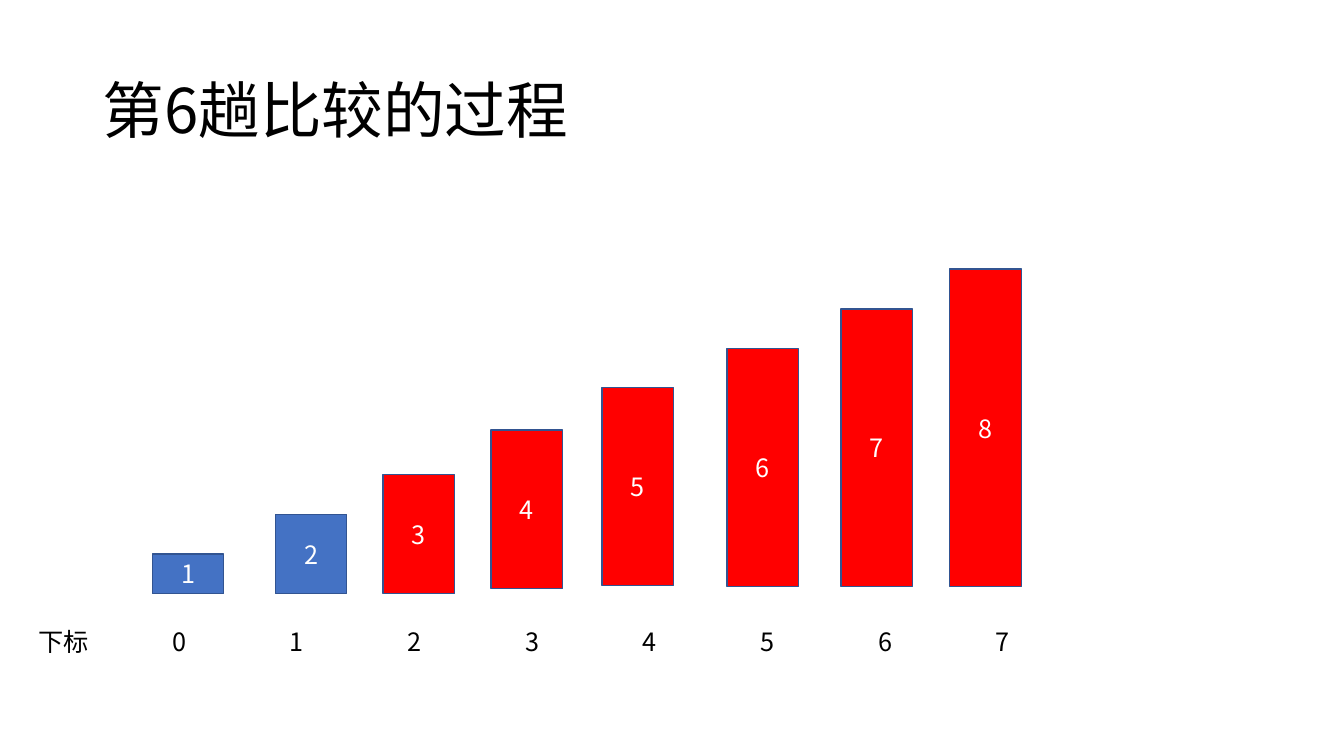
import pptx
import pptx.dml.color
import pptx.enum.shapes
import pptx.enum.text
import pptx.oxml
import pptx.util

Inches = pptx.util.Inches
ANCHOR = pptx.enum.text.MSO_ANCHOR
ALIGN = pptx.enum.text.PP_ALIGN

COLORS = {"text": "000000", "value": "FFFFFF", "sorted": "FF0000",
          "unsorted": "4472C4", "outline": "325491"}


class SlideBuilder:
    font_name = "Noto Sans CJK SC"

    def __init__(self, slide):
        self.slide = slide

    def color(self, name):
        return pptx.dml.color.RGBColor.from_string(COLORS[name])

    def fill_text(self, frame, text, size, color, align=ALIGN.LEFT, spacing=1.0, **frame_format):
        for name, value in frame_format.items():
            setattr(frame, name, value)
        paragraph = frame.paragraphs[0]
        paragraph.alignment = align
        paragraph.line_spacing = spacing
        run = paragraph.add_run()
        run.text = text
        run_format = {"size": pptx.util.Pt(size), "name": self.font_name}
        for name, value in run_format.items():
            setattr(run.font, name, value)
        run.font.color.rgb = self.color(color)
        # East Asian characters take their own typeface setting
        east_asian = pptx.oxml.parse_xml(
            '<a:ea xmlns:a="http://schemas.openxmlformats.org/drawingml/2006/main"'
            f' typeface="{self.font_name}"/>')
        run.font._element.append(east_asian)

    def text(self, left, top, width, height, text, size, **text_format):
        box = self.slide.shapes.add_textbox(*map(Inches, (left, top, width, height)))
        self.fill_text(box.text_frame, text, size, "text", **text_format)

    def bar(self, left, top, width, height, text, fill):
        bar = self.slide.shapes.add_shape(
            pptx.enum.shapes.MSO_SHAPE.RECTANGLE, *map(Inches, (left, top, width, height)))
        bar.shadow.inherit = False
        bar.fill.solid()
        bar.fill.fore_color.rgb = self.color(fill)
        bar.line.color.rgb = self.color("outline")
        bar.line.width = pptx.util.Pt(1)
        self.fill_text(bar.text_frame, text, 18, "value", align=ALIGN.CENTER,
                       vertical_anchor=ANCHOR.MIDDLE, word_wrap=True)


deck = pptx.Presentation()
deck.slide_width, deck.slide_height = Inches(13.33), Inches(7.5)
builder = SlideBuilder(deck.slides.add_slide(deck.slide_layouts[6]))

# Title
builder.text(0.92, 0.4, 11.5, 1.45, "第6趟比较的过程", 44, spacing=0.9,
             vertical_anchor=ANCHOR.MIDDLE, word_wrap=True)

# Bars: height grows with the value, the first two are not yet sorted
BAR_WIDTH, UNIT_HEIGHT, UNSORTED_COUNT = 0.71, 3.15 / 8, 2
bar_places = [(1.51, 5.89), (2.73, 5.89), (3.8, 5.89), (4.87, 5.84),
              (5.97, 5.81), (7.21, 5.82), (8.34, 5.82), (9.42, 5.82)]
for value, (left, bottom) in enumerate(bar_places, start=1):
    height = value * UNIT_HEIGHT
    fill = "unsorted" if value <= UNSORTED_COUNT else "sorted"
    builder.bar(left, bottom - height, BAR_WIDTH, height, str(value), fill)

# Index row
INDEX_TOP, INDEX_HEIGHT = 6.16, 0.4
INDEX_LEFT, INDEX_STEP = 1.61, 8.17 / 7
label_format = {"word_wrap": False, "auto_size": pptx.enum.text.MSO_AUTO_SIZE.SHAPE_TO_FIT_TEXT}
builder.text(0.28, INDEX_TOP, 0.71, INDEX_HEIGHT, "下标", 18, **label_format)
for index in range(len(bar_places)):
    builder.text(INDEX_LEFT + index * INDEX_STEP, INDEX_TOP, 0.34, INDEX_HEIGHT,
                 str(index), 18, **label_format)

deck.save("out.pptx")
